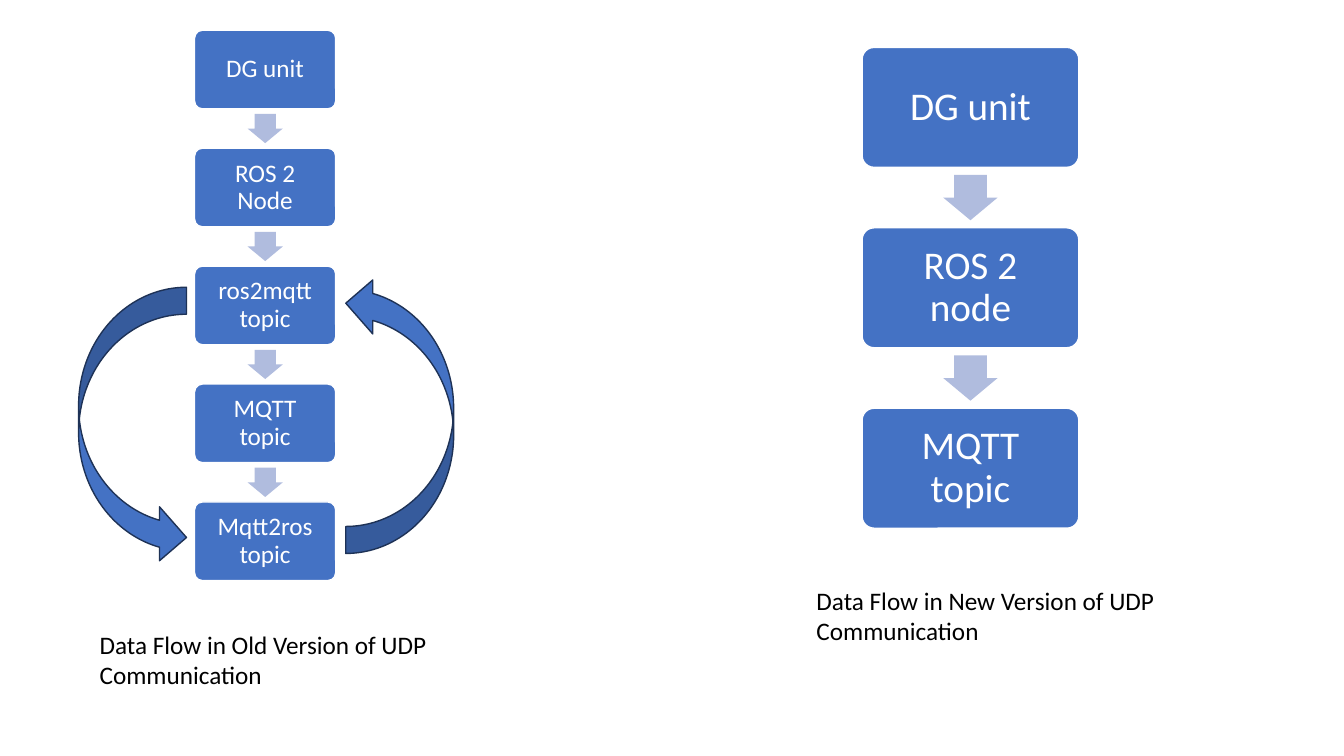
from dataclasses import dataclass

from pptx import Presentation
from pptx.dml.color import RGBColor
from pptx.enum.shapes import MSO_SHAPE
from pptx.enum.text import MSO_ANCHOR, MSO_AUTO_SIZE, PP_ALIGN
from pptx.util import Pt

ROUNDED = MSO_SHAPE.ROUNDED_RECTANGLE
RIGHT_ARROW = MSO_SHAPE.RIGHT_ARROW
CURVED_RIGHT = MSO_SHAPE.CURVED_RIGHT_ARROW
CURVED_UP = MSO_SHAPE.CURVED_UP_ARROW
MIDDLE = MSO_ANCHOR.MIDDLE
CENTER = PP_ALIGN.CENTER
GROW = MSO_AUTO_SIZE.SHAPE_TO_FIT_TEXT

FLOWS = [
    {
        "steps": ["DG unit", "ROS 2 Node", "ros2mqtt topic", "MQTT topic", "Mqtt2ros topic"],
        "left": 193, "top": 30, "width": 140, "height": 78, "pitch": 117,
        "arrow": (29, 35), "margin": 9, "size": 18,
    },
    {
        "steps": ["DG unit", "ROS 2 node", "MQTT topic"],
        "left": 855, "top": 47, "width": 215, "height": 119, "pitch": 179,
        "arrow": (45, 54), "margin": 15, "size": 28,
    },
]
LOOPS = [
    (CURVED_RIGHT, (78, 285, 107, 275), 0),
    (CURVED_UP, (259, 358, 275, 107), 270),
]
CAPTIONS = [
    ("Data Flow in Old Version of UDP Communication", (89, 619, 435, 71)),
    ("Data Flow in New Version of UDP Communication", (800, 576, 400, 101)),
]
PAGE_SIZE = (1333, 750)
EMU_PER_PX = 9144


@dataclass(frozen=True)
class Theme:
    font: str = "Calibri"
    box: str = "4472C4"
    box_line: str = "FFFFFF"
    box_text: str = "FFFFFF"
    arrow: str = "B0BCDE"
    loop_line: str = "1E3256"
    caption: str = "000000"
    caption_size: int = 18


THEME = Theme()


def px(*lengths):
    return [round(length * EMU_PER_PX) for length in lengths]


def add_preset(shapes, kind, place, fill, line=None):
    shape = shapes.add_shape(kind, *px(*place))
    shape.shadow.inherit = False
    shape.fill.solid()
    shape.fill.fore_color.rgb = RGBColor.from_string(fill)
    if line:
        shape.line.color.rgb = RGBColor.from_string(line)
        shape.line.width = Pt(1)
    else:
        shape.line.fill.background()
    return shape


def write(frame, text, size, color):
    frame.text = text
    frame.word_wrap = True
    para = frame.paragraphs[0]
    font = para.runs[0].font
    font.name = THEME.font
    font.size = Pt(size)
    font.color.rgb = RGBColor.from_string(color)
    return para


def add_step(shapes, text, place, flow):
    box = add_preset(shapes, ROUNDED, place, THEME.box, THEME.box_line)
    box.adjustments[0] = 0.1
    frame = box.text_frame
    para = write(frame, text, flow["size"], THEME.box_text)
    para.alignment = CENTER
    para.line_spacing = 0.9
    frame.vertical_anchor = MIDDLE
    margin = px(flow["margin"])[0]
    frame.margin_left = frame.margin_right = margin
    frame.margin_top = frame.margin_bottom = margin


def add_down_arrow(shapes, center_x, center_y, size):
    length, breadth = size
    place = (center_x - length / 2, center_y - breadth / 2, length, breadth)
    arrow = add_preset(shapes, RIGHT_ARROW, place, THEME.arrow)
    arrow.adjustments[0] = 0.6
    arrow.adjustments[1] = 0.5
    arrow.rotation = 90


def add_flow(page, flow):
    shapes = page.shapes.add_group_shape().shapes
    left, width, height, pitch = (flow[key] for key in ("left", "width", "height", "pitch"))
    for index, text in enumerate(flow["steps"]):
        top = flow["top"] + index * pitch
        if index:
            gap_middle = top - (pitch - height) / 2
            add_down_arrow(shapes, left + width / 2, gap_middle, flow["arrow"])
        add_step(shapes, text, (left, top, width, height), flow)


def add_caption(page, text, place):
    frame = page.shapes.add_textbox(*px(*place)).text_frame
    write(frame, text, THEME.caption_size, THEME.caption)
    frame.auto_size = GROW


def main():
    deck = Presentation()
    deck.slide_width, deck.slide_height = px(*PAGE_SIZE)
    page = deck.slides.add_slide(deck.slide_layouts[6])
    for flow in FLOWS:
        add_flow(page, flow)
    for kind, place, rotation in LOOPS:
        loop = add_preset(page.shapes, kind, place, THEME.box, THEME.loop_line)
        loop.rotation = rotation
    for text, place in CAPTIONS:
        add_caption(page, text, place)
    deck.save("out.pptx")


if __name__ == "__main__":
    main()
